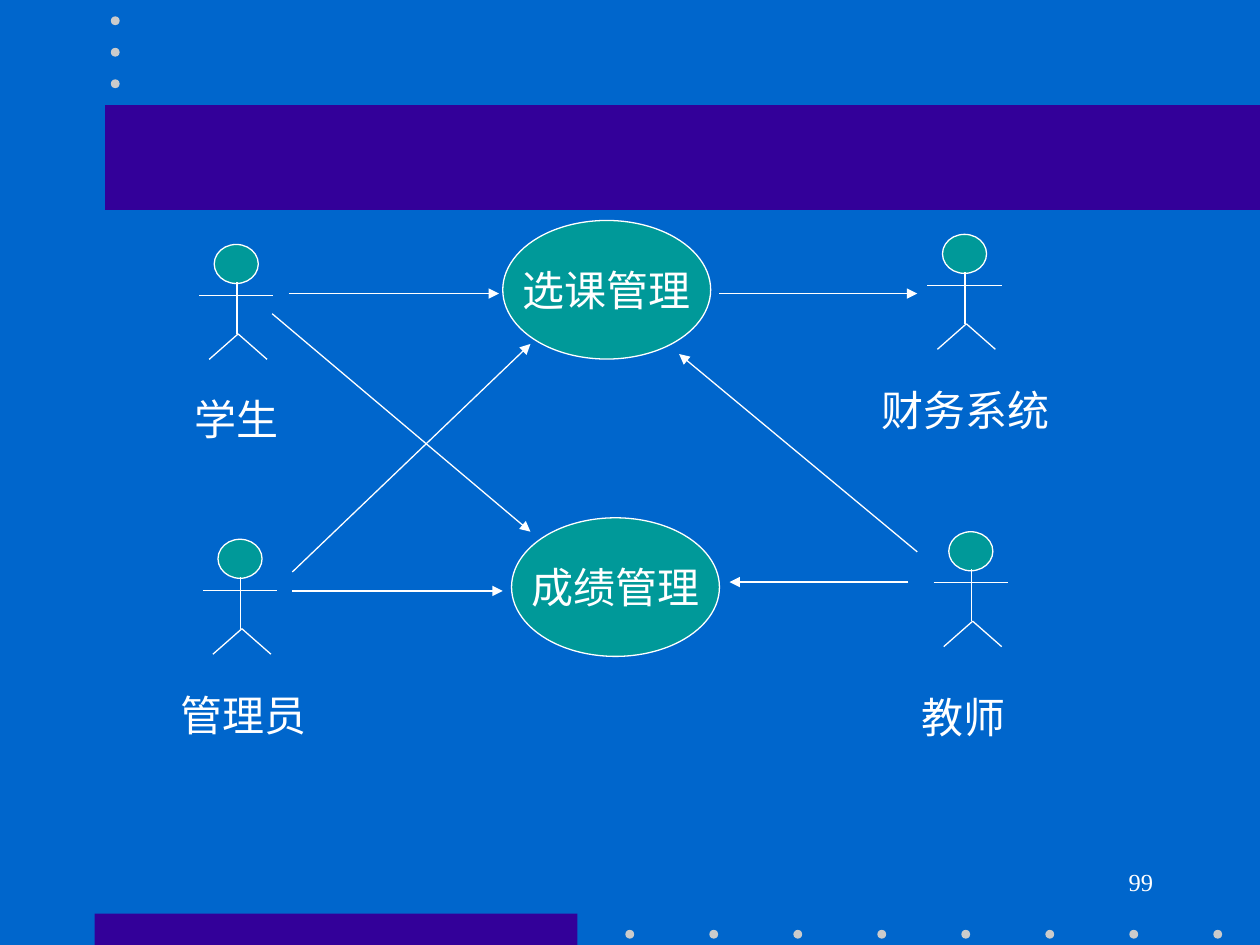
"""Build a use case slide: four actors linked to two course systems."""
from lxml.etree import SubElement
from pptx import Presentation
from pptx.dml.color import RGBColor
from pptx.enum.shapes import MSO_CONNECTOR, MSO_SHAPE
from pptx.enum.text import MSO_ANCHOR, PP_ALIGN
from pptx.oxml.ns import qn
from pptx.util import Inches, Pt

hues = {"back": "0066CC", "band": "330099", "dot": "CBCBCB", "fill": "009999", "ink": "FFFFFF"}
tint = {name: RGBColor.from_string(code) for name, code in hues.items()}

deck = Presentation()
deck.slide_width, deck.slide_height = Inches(10), Inches(7.5)
cell = deck.slide_width / 120
slide = deck.slides.add_slide(deck.slide_layouts[6])
slide.background.fill.solid()
slide.background.fill.fore_color.rgb = tint["back"]


def draw(kind, spot, fill, edge=None):
    shape = slide.shapes.add_shape(kind, *[round(n * cell) for n in spot])
    shape.shadow.inherit = False
    shape.fill.solid()
    shape.fill.fore_color.rgb = tint[fill]
    if edge:
        shape.line.color.rgb = tint[edge]
        shape.line.width = Pt(0.75)
    else:
        shape.line.fill.background()
    return shape


def link(ends, arrow=False):
    line = slide.shapes.add_connector(MSO_CONNECTOR.STRAIGHT, *[round(n * cell) for n in ends])
    line.line.color.rgb = tint["ink"]
    line.line.width = Pt(0.75)
    if arrow:
        SubElement(line.line._get_or_add_ln(), qn("a:tailEnd"), type="triangle")
    SubElement(line._element.spPr, qn("a:effectLst"))


draw(MSO_SHAPE.RECTANGLE, (9, 87, 46, 3), "band")
draw(MSO_SHAPE.RECTANGLE, (10, 10, 110, 10), "band")
dots = [(59.56 + 8 * i, 88.56) for i in range(8)] + [(10.56, 1.56 + 3 * i) for i in range(3)]
for x, y in dots:
    draw(MSO_SHAPE.OVAL, (x, y, 0.84, 0.84), "dot")

texts = []
cases = [("选课管理", 47.88, 21), ("成绩管理", 48.72, 49.32)]
for name, x, y in cases:
    oval = draw(MSO_SHAPE.OVAL, (x, y, 19.8, 13.2), "fill", "ink")
    texts.append((oval, name, 24, PP_ALIGN.CENTER, MSO_ANCHOR.MIDDLE, False))

limbs = [
    (2.16, 3.6, 2.16, 8.52),
    (2.28, 8.52, -0.48, 10.95),
    (2.28, 8.52, 5.04, 10.95),
    (-1.44, 4.85, 5.64, 4.85),
]
actors = [
    ("学生", 20.4, 23.28, 13.08, 38.4),
    ("财务系统", 89.76, 22.32, 82.44, 37.56),
    ("管理员", 20.76, 51.36, 13.68, 66.6),
    ("教师", 90.36, 50.64, 82.32, 66.72),
]
for name, x, y, left, top in actors:
    draw(MSO_SHAPE.OVAL, (x, y, 4.2, 3.72), "fill", "ink")
    for a, b, c, d in limbs:
        link((x + a, y + b, x + c, y + d))
    label = slide.shapes.add_textbox(*[round(n * cell) for n in (left, top, 18.96, 3)])
    texts.append((label, name, 24, PP_ALIGN.CENTER, MSO_ANCHOR.MIDDLE, False))

arrows = [
    (27.48, 27.96, 47.52, 27.96),
    (27.84, 56.28, 47.88, 56.28),
    (27.84, 54.48, 50.52, 32.76),
    (25.92, 29.88, 50.52, 50.64),
    (86.52, 55.44, 69.48, 55.44),
    (68.52, 27.96, 87.36, 27.96),
    (87.36, 52.56, 64.68, 33.72),
]
for ends in arrows:
    link(ends, arrow=True)

page = slide.shapes.add_textbox(*[round(n * cell) for n in (86, 82, 25, 6)])
texts.append((page, "99", 14, PP_ALIGN.RIGHT, MSO_ANCHOR.TOP, True))

for shape, words, size, align, anchor, wrap in texts:
    frame = shape.text_frame
    frame.word_wrap = wrap
    frame.vertical_anchor = anchor
    para = frame.paragraphs[0]
    para.alignment = align
    run = para.add_run()
    run.text = words
    for key, value in {"size": Pt(size), "name": "Times New Roman"}.items():
        setattr(run.font, key, value)
    run.font.color.rgb = tint["ink"]

deck.save("out.pptx")
